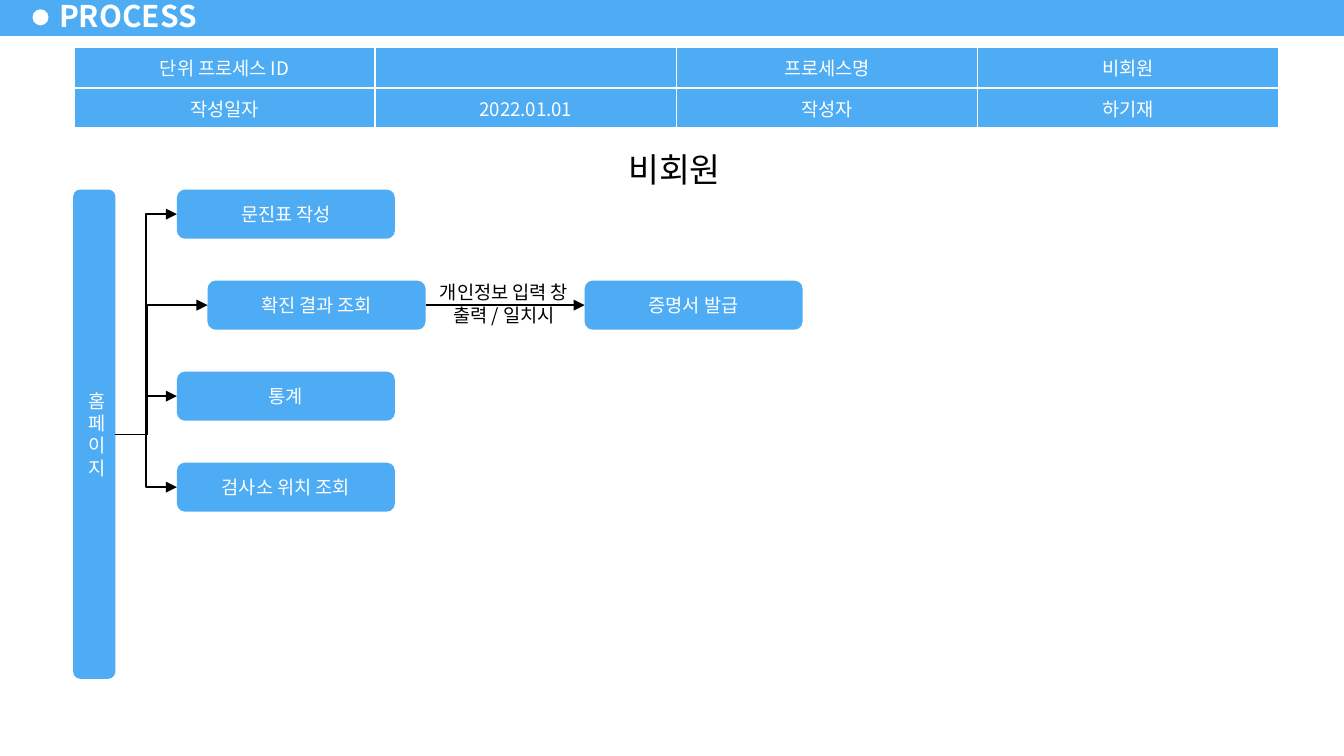
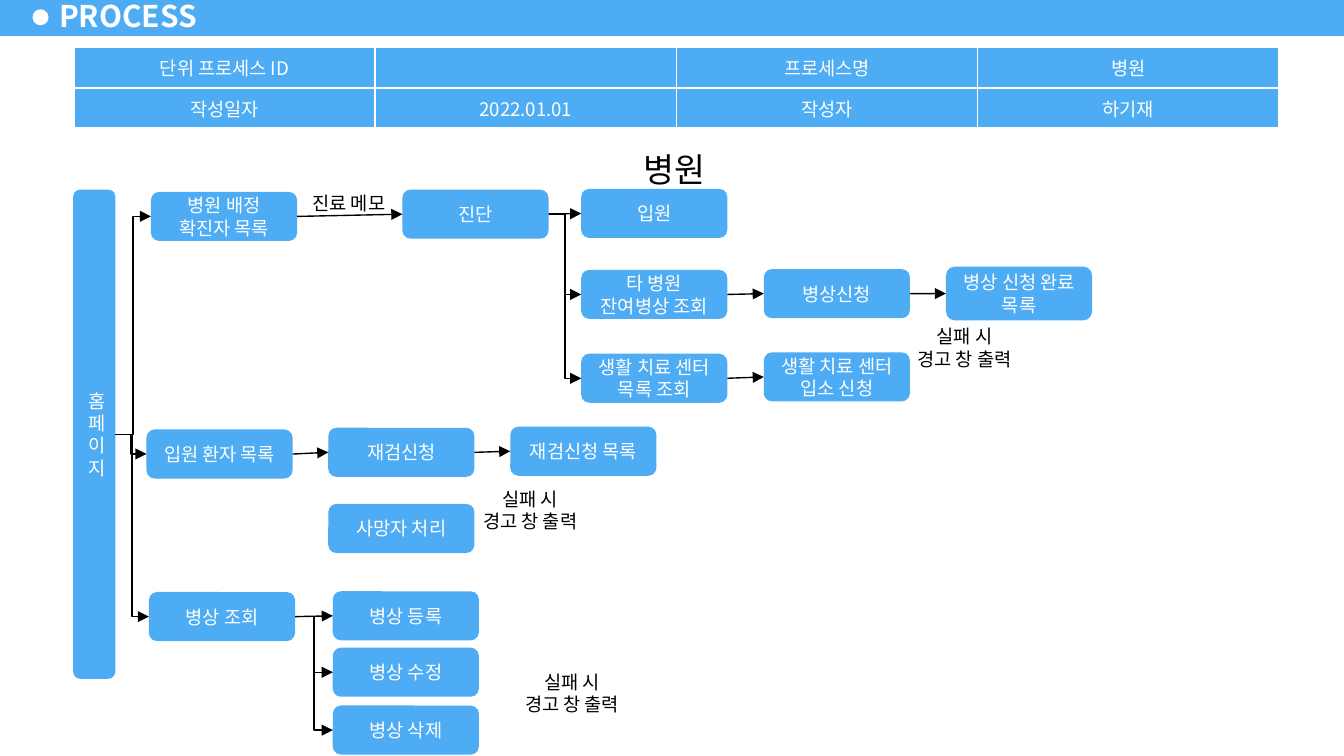
from dataclasses import dataclass
from typing import Any

from lxml.etree import SubElement
from pptx import Presentation
from pptx.dml.color import RGBColor
from pptx.enum.shapes import MSO_CONNECTOR, MSO_SHAPE
from pptx.enum.text import MSO_ANCHOR, MSO_AUTO_SIZE, PP_ALIGN
from pptx.oxml.ns import qn
from pptx.util import Pt

RECTANGLE, ROUNDED, OVAL = MSO_SHAPE.RECTANGLE, MSO_SHAPE.ROUNDED_RECTANGLE, MSO_SHAPE.OVAL
STRAIGHT, ELBOW = MSO_CONNECTOR.STRAIGHT, MSO_CONNECTOR.ELBOW
MIDDLE, TOP = MSO_ANCHOR.MIDDLE, MSO_ANCHOR.TOP
LEFT, CENTER = PP_ALIGN.LEFT, PP_ALIGN.CENTER
NO_FIT, GROW = MSO_AUTO_SIZE.NONE, MSO_AUTO_SIZE.SHAPE_TO_FIT_TEXT
LEFT_SIDE, RIGHT_SIDE = 1, 3
TITLE_ONLY = 5


@dataclass(frozen=True)
class Theme:
    """Colours, type sizes and line widths."""

    blue: RGBColor = RGBColor(0x4D, 0xAC, 0xF3)
    white: RGBColor = RGBColor(0xFF, 0xFF, 0xFF)
    black: RGBColor = RGBColor(0, 0, 0)
    font: str = "Noto Sans CJK KR"
    title_size: float = 16
    heading_size: float = 18
    body_size: float = 10
    link_width: float = 0.75
    border_width: float = 1


THEME = Theme()


@dataclass(frozen=True)
class Area:
    """A rectangle on the slide, in points."""

    left: float
    top: float
    width: float
    height: float

    def lengths(self) -> tuple:
        """Give left, top, width and height as lengths."""
        return Pt(self.left), Pt(self.top), Pt(self.width), Pt(self.height)


@dataclass(frozen=True)
class Step:
    """A rounded process box, known by its text."""

    text: str
    left: float
    top: float
    width: float = 78.3
    height: float = 26.3


@dataclass(frozen=True)
class Link:
    """An arrow between two steps."""

    start: str
    end: str
    kind: Any = ELBOW
    bend: float = 0.5


@dataclass(frozen=True)
class Note:
    """A caption beside the flow."""

    lines: tuple[str, ...]
    area: Area


@dataclass(frozen=True)
class Process:
    """The content of one slide."""

    name: str
    steps: list[Step]
    links: list[Link]
    notes: list[Note]


BAND = Area(0, -1.2, 720, 20.4)
DOT = Area(17.4, 5, 8.6, 8.6)
TITLE = Area(25.2, -2.9, 88, 23)
INFO = Area(39.6, 25.4, 645.6, 40.4)
HEADING = Area(262, 76.3, 198.7, 29.5)
HOME = Step("홈페이지", 39.2, 101.6, 22.6, 262.1)

ENTRY_LEFT, ENTRY_WIDTH, ENTRY_PITCH = 94.8, 116.8, 48.75
ENTRIES = [
    ("문진표 작성", ENTRY_LEFT, 0),
    ("확진 결과 조회", 111.2, 1),
    ("증명서 발급", 313.2, 1),
    ("통계", ENTRY_LEFT, 2),
    ("검사소 위치 조회", ENTRY_LEFT, 3),
]
FAILURE = ("실패 시", "경고 창 출력")

PROCESSES = [
    Process(
        "비회원",
        [Step(text, left, HOME.top + row * ENTRY_PITCH, ENTRY_WIDTH) for text, left, row in ENTRIES],
        [
            Link("홈페이지", "문진표 작성"),
            Link("홈페이지", "확진 결과 조회", bend=0.35),
            Link("홈페이지", "검사소 위치 조회"),
            Link("홈페이지", "통계"),
            Link("확진 결과 조회", "증명서 발급", STRAIGHT),
        ],
        [Note(("개인정보 입력 창", "출력 / 일치시"), Area(224, 147, 92, 31.7))],
    ),
    Process(
        "병원",
        [
            Step("병원 배정 확진자 목록", 80.9, 102.8),
            Step("입원 환자 목록", 78.5, 230.1),
            Step("병상 조회", 79.8, 317.2),
            Step("진단", 215.6, 101.6),
            Step("입원", 311.4, 101.2),
            Step("타 병원 잔여병상 조회", 311.4, 144.6),
            Step("생활 치료 센터 목록 조회", 311.4, 189.5),
            Step("병상신청", 409.2, 144.2),
            Step("생활 치료 센터 입소 신청", 409.2, 188.8),
            Step("병상 신청 완료 목록", 506.8, 142.8, height=28.9),
            Step("재검신청", 175.9, 229.2),
            Step("재검신청 목록", 273.4, 228.6),
            Step("사망자 처리", 175.9, 270),
            Step("병상 등록", 178.3, 316.8),
            Step("병상 수정", 178.3, 347),
            Step("병상 삭제", 178.3, 378),
        ],
        [
            Link("홈페이지", "병원 배정 확진자 목록"),
            Link("홈페이지", "입원 환자 목록"),
            Link("홈페이지", "병상 조회"),
            Link("병원 배정 확진자 목록", "진단", STRAIGHT),
            Link("진단", "입원", STRAIGHT),
            Link("진단", "타 병원 잔여병상 조회"),
            Link("진단", "생활 치료 센터 목록 조회"),
            Link("타 병원 잔여병상 조회", "병상신청", STRAIGHT),
            Link("병상신청", "병상 신청 완료 목록", STRAIGHT),
            Link("생활 치료 센터 목록 조회", "생활 치료 센터 입소 신청", STRAIGHT),
            Link("입원 환자 목록", "재검신청", STRAIGHT),
            Link("재검신청", "재검신청 목록", STRAIGHT),
            Link("병상 조회", "병상 등록", STRAIGHT),
            Link("병상 조회", "병상 수정"),
            Link("병상 조회", "병상 삭제"),
        ],
        [
            Note(("진료 메모",), Area(157.7, 99.4, 58.3, 19.4)),
            Note(FAILURE, Area(246.2, 257.8, 75.6, 31.7)),
            Note(FAILURE, Area(268.6, 355.7, 75.6, 31.7)),
            Note(FAILURE, Area(478.8, 170.6, 75.6, 31.7)),
        ],
    ),
]


def assign(target: Any, values: dict[str, Any]) -> None:
    """Set each named attribute of the target."""
    for name, value in values.items():
        setattr(target, name, value)


def write(frame: Any, lines: tuple[str, ...], size: float, color: RGBColor,
          align: Any = CENTER, bold: bool = False) -> None:
    """Fill a text frame with one formatted paragraph per line."""
    for index, line in enumerate(lines):
        para = frame.add_paragraph() if index else frame.paragraphs[0]
        para.alignment = align
        span = para.add_run()
        span.text = line
        assign(span.font, {"name": THEME.font, "size": Pt(size), "bold": bold})
        span.font.color.rgb = color
        SubElement(span.font._element, qn("a:ea"), typeface=THEME.font)


def add_block(page: Any, kind: Any, area: Area, color: RGBColor) -> Any:
    """Draw a plain filled shape."""
    box = page.shapes.add_shape(kind, *area.lengths())
    box.shadow.inherit = False
    box.fill.solid()
    box.fill.fore_color.rgb = color
    box.line.fill.background()
    return box


def add_step(page: Any, step: Step) -> Any:
    """Draw a process box."""
    area = Area(step.left, step.top, step.width, step.height)
    box = add_block(page, ROUNDED, area, THEME.blue)
    assign(box.text_frame, {"word_wrap": True, "vertical_anchor": MIDDLE})
    write(box.text_frame, (step.text,), THEME.body_size, THEME.white)
    return box


def add_note(page: Any, note: Note) -> None:
    """Draw a caption."""
    frame = page.shapes.add_textbox(*note.area.lengths()).text_frame
    assign(frame, {"word_wrap": False, "auto_size": GROW})
    write(frame, note.lines, THEME.body_size, THEME.black)


def add_link(page: Any, link: Link, boxes: dict[str, Any]) -> None:
    """Draw an arrow from the right side of one box to the left side of another."""
    start, end = boxes[link.start], boxes[link.end]
    line = page.shapes.add_connector(
        link.kind, start.left + start.width, start.top + start.height // 2,
        end.left, end.top + end.height // 2)
    line.begin_connect(start, RIGHT_SIDE)
    line.end_connect(end, LEFT_SIDE)
    line.line.width = Pt(THEME.link_width)
    line.line.color.rgb = THEME.black
    properties = line.element.spPr
    SubElement(properties.find(qn("a:ln")), qn("a:tailEnd"), type="triangle")
    SubElement(properties, qn("a:effectLst"))
    if link.kind == ELBOW:
        guides = properties.find(qn("a:prstGeom")).get_or_add_avLst()
        SubElement(guides, qn("a:gd"), name="adj1", fmla=f"val {round(link.bend * 100000)}")


def add_borders(cell: Any) -> None:
    """Give a table cell thin white borders."""
    properties = cell._tc.get_or_add_tcPr()
    for index, side in enumerate(("lnL", "lnR", "lnT", "lnB")):
        border = SubElement(properties, qn(f"a:{side}"), w=str(Pt(THEME.border_width)))
        fill = SubElement(border, qn("a:solidFill"))
        SubElement(fill, qn("a:srgbClr"), val=str(THEME.white))
        properties.insert(index, border)


def add_info(page: Any, name: str) -> None:
    """Draw the table that describes the process."""
    rows = [("단위 프로세스 ID", "", "프로세스명", name),
            ("작성일자", "2022.01.01", "작성자", "하기재")]
    table = page.shapes.add_table(len(rows), len(rows[0]), *INFO.lengths()).table
    assign(table, {"first_row": False, "horz_banding": False})
    for row, texts in enumerate(rows):
        for column, text in enumerate(texts):
            cell = table.cell(row, column)
            cell.vertical_anchor = MIDDLE
            cell.fill.solid()
            cell.fill.fore_color.rgb = THEME.blue
            add_borders(cell)
            if text:
                write(cell.text_frame, (text,), THEME.body_size, THEME.white)
            else:
                SubElement(cell.text_frame.paragraphs[0]._p, qn("a:endParaRPr"),
                           sz=str(round(THEME.body_size * 100)))


def add_title(page: Any) -> None:
    """Place and format the slide title."""
    title = page.shapes.title
    assign(title, dict(zip(("left", "top", "width", "height"), TITLE.lengths())))
    assign(title.text_frame, {
        "margin_left": Pt(6.5), "margin_right": Pt(6.5), "margin_top": Pt(3),
        "margin_bottom": Pt(3), "vertical_anchor": MIDDLE, "auto_size": NO_FIT})
    write(title.text_frame, ("PROCESS",), THEME.title_size, THEME.white, LEFT, True)


def add_process(page: Any, process: Process) -> None:
    """Draw one process slide."""
    add_title(page)
    add_info(page, process.name)
    heading = add_block(page, RECTANGLE, HEADING, THEME.white)
    heading.text_frame.vertical_anchor = TOP
    write(heading.text_frame, (process.name,), THEME.heading_size, THEME.black)
    boxes = {step.text: add_step(page, step) for step in [HOME, *process.steps]}
    for link in process.links:
        add_link(page, link, boxes)
    for note in process.notes:
        add_note(page, note)


def main() -> None:
    """Build and save the deck."""
    deck = Presentation()
    assign(deck, {"slide_width": Pt(720), "slide_height": Pt(405)})
    layout = deck.slide_layouts[TITLE_ONLY]
    pages = [deck.slides.add_slide(layout) for _ in PROCESSES]
    header = [(RECTANGLE, BAND, THEME.blue), (OVAL, DOT, THEME.white)]
    for position, (kind, area, color) in enumerate(header, start=2):
        block = add_block(pages[0], kind, area, color)
        layout.shapes.element.insert(position, block.element)
    for page, process in zip(pages, PROCESSES):
        add_process(page, process)
    deck.save("out.pptx")


if __name__ == "__main__":
    main()
